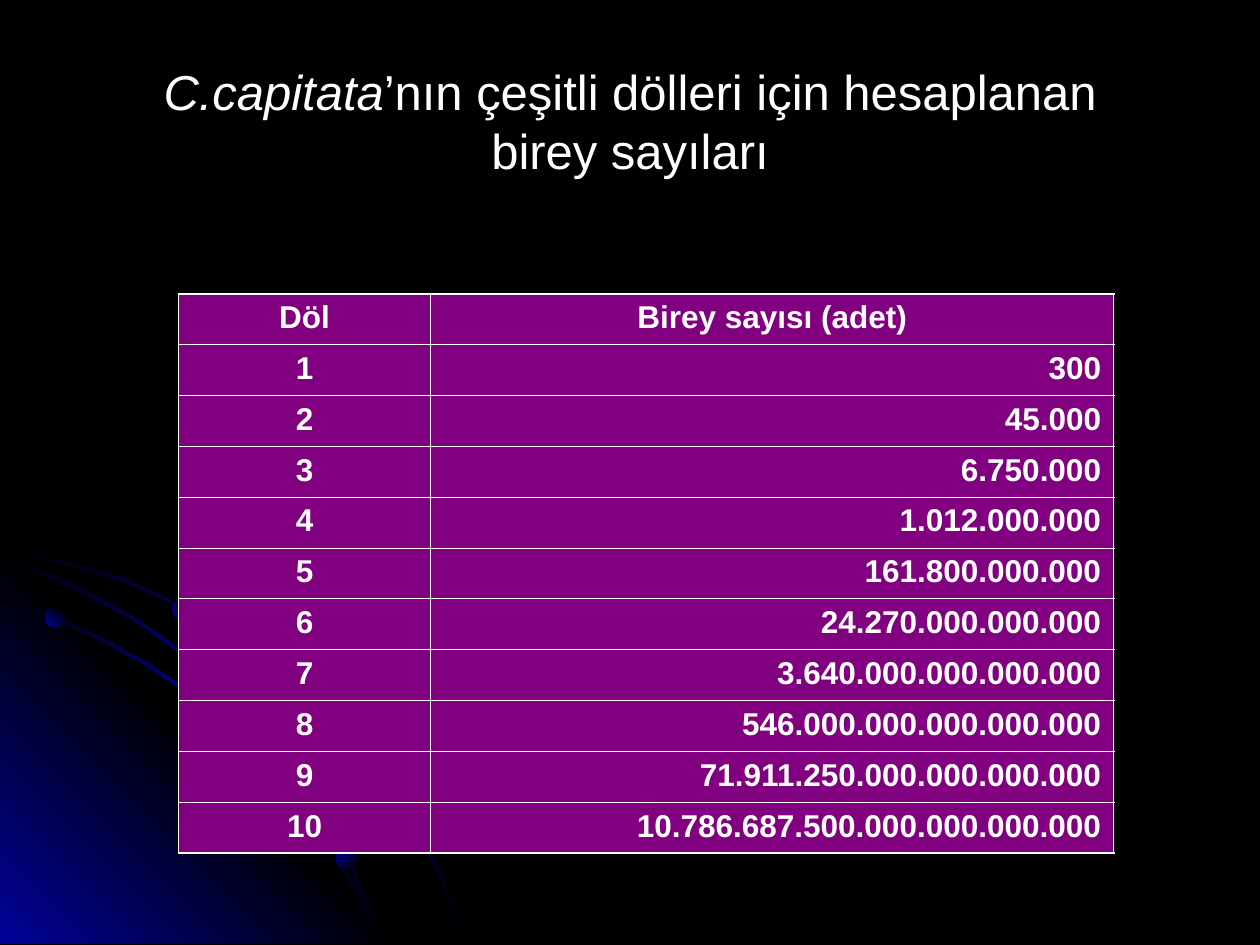
"""Build the slide of C.capitata individuals per generation."""
import pptx
import pptx.dml.color
import pptx.enum.shapes
import pptx.enum.text
import pptx.oxml
import pptx.oxml.ns
import pptx.util

Cm = pptx.util.Cm
Pt = pptx.util.Pt
RGBColor = pptx.dml.color.RGBColor
PP_ALIGN = pptx.enum.text.PP_ALIGN
qn = pptx.oxml.ns.qn

BLACK = RGBColor(0x00, 0x00, 0x00)
BLUE = RGBColor(0x01, 0x01, 0x99)
PURPLE = RGBColor(0x80, 0x00, 0x80)
WHITE = RGBColor(0xFF, 0xFF, 0xFF)
NS = 'xmlns:a="http://schemas.openxmlformats.org/drawingml/2006/main"'
GRID = Cm(0.0254)


def paint(shape, colors, angle):
    shape.shadow.inherit = False
    shape.line.fill.background()
    shape.fill.gradient()
    shape.fill.gradient_angle = angle
    stops = shape.element.spPr.find(".//" + qn("a:gsLst"))
    for stop in list(stops):
        stops.remove(stop)
    for i, color in enumerate(colors):
        pos = 100000 * i // (len(colors) - 1)
        stops.append(pptx.oxml.parse_xml(
            f'<a:gs {NS} pos="{pos}"><a:srgbClr val="{color}"/></a:gs>'))


def set_borders(cell, widths):
    tc_pr = cell._tc.get_or_add_tcPr()
    for side, width in zip("LRTB", widths):
        tc_pr.append(pptx.oxml.parse_xml(
            f'<a:ln{side} {NS} w="{Pt(width)}"><a:solidFill>'
            f'<a:srgbClr val="{WHITE}"/></a:solidFill></a:ln{side}>'))


prs = pptx.Presentation()
prs.slide_width = Cm(25.4)
prs.slide_height = Cm(19.05)
s = prs.slides.add_slide(prs.slide_layouts[6])
s.background.fill.solid()
s.background.fill.fore_color.rgb = BLACK

outer_arc = [
    (57, 447), (28, 441), (0, 435), (0, 438), (28, 443), (56, 449), (97, 461),
    (135, 478), (173, 499), (208, 523), (241, 549), (271, 579), (298, 612),
    (323, 649), (337, 673), (350, 698), (360, 723), (370, 749), (372, 749),
    (362, 723), (352, 698), (339, 673), (325, 648), (300, 611), (272, 578),
    (242, 548), (209, 521), (174, 497), (136, 477), (98, 459)]
corner = [(322, 749), (0, 749), (0, 427)]
inner_arc = [
    (285, 714), (294, 732), (301, 749), (303, 749), (296, 730), (286, 712),
    (266, 676), (242, 640), (215, 606), (184, 576), (152, 549), (117, 526),
    (79, 505), (41, 488), (0, 475), (0, 477), (39, 490), (77, 507), (115, 528),
    (150, 551), (183, 578), (213, 608), (240, 642), (265, 677)]
middle_arc = [
    (0, 442), (0, 444), (36, 457), (74, 475), (109, 494), (142, 518),
    (173, 544), (202, 575), (227, 605), (252, 641), (267, 667), (280, 694),
    (292, 722), (301, 749), (303, 749), (294, 720), (282, 693), (269, 665),
    (254, 639), (229, 603), (204, 573), (175, 543), (144, 516), (111, 493),
    (76, 473), (39, 455)]

group = s.shapes.add_group_shape()
for points, colors, angle in [
        (outer_arc, (BLACK, BLUE, BLACK), 315),
        (corner, (BLUE, BLACK, BLUE), 45),
        (inner_arc, (BLACK, BLUE, BLACK), 315),
        (middle_arc, (BLACK, BLUE, BLACK), 315)]:
    builder = group.shapes.build_freeform(*points[0], scale=GRID)
    builder.add_line_segments(points[1:], close=True)
    paint(builder.convert_to_shape(), colors, angle)

for left, top, size, angle in [(0.91, 12.27, 0.38, 45),
                               (6.78, 17.12, 0.41, 315),
                               (3.48, 12.01, 0.53, 45)]:
    dot = group.shapes.add_shape(pptx.enum.shapes.MSO_SHAPE.OVAL,
                                 Cm(left), Cm(top), Cm(size), Cm(size))
    paint(dot, (BLUE, BLACK), angle)

title = s.shapes.add_textbox(Cm(1.9), Cm(0.84), Cm(21.6), Cm(3.18))
tf = title.text_frame
tf.word_wrap = True
tf.vertical_anchor = pptx.enum.text.MSO_ANCHOR.MIDDLE
p = tf.paragraphs[0]
p.alignment = PP_ALIGN.CENTER
for text, italic in [("C.capitata", True),
                     ("’nın çeşitli dölleri için hesaplanan birey sayıları", False)]:
    r = p.add_run()
    r.text = text
    r.font.name = "Arial"
    r.font.size = Pt(28)
    r.font.italic = italic
    r.font.color.rgb = WHITE

counts = ["300", "45.000", "6.750.000", "1.012.000.000", "161.800.000.000",
          "24.270.000.000.000", "3.640.000.000.000.000",
          "546.000.000.000.000.000", "71.911.250.000.000.000.000",
          "10.786.687.500.000.000.000.000"]
rows = [("Döl", "Birey sayısı (adet)")]
rows += [(str(i), count) for i, count in enumerate(counts, 1)]

table = s.shapes.add_table(len(rows), 2, Cm(3.6), Cm(5.92),
                           Cm(18.85), Cm(11.28)).table
table.first_row = False
table.horz_banding = False
table.columns[0].width = Cm(5.08)
table.columns[1].width = Cm(13.77)
for i, row in enumerate(rows):
    for j, text in enumerate(row):
        cell = table.cell(i, j)
        edges = (j == 0, j == 1, i == 0, i == len(rows) - 1)
        set_borders(cell, [1.08 if edge else 0.45 for edge in edges])
        cell.fill.solid()
        cell.fill.fore_color.rgb = PURPLE
        cell.text_frame.text = text
        p = cell.text_frame.paragraphs[0]
        p.alignment = PP_ALIGN.RIGHT if i and j else PP_ALIGN.CENTER
        r = p.runs[0]
        r.font.name = "Arial"
        r.font.size = Pt(18)
        r.font.bold = True
        r.font.color.rgb = WHITE

prs.save("out.pptx")
